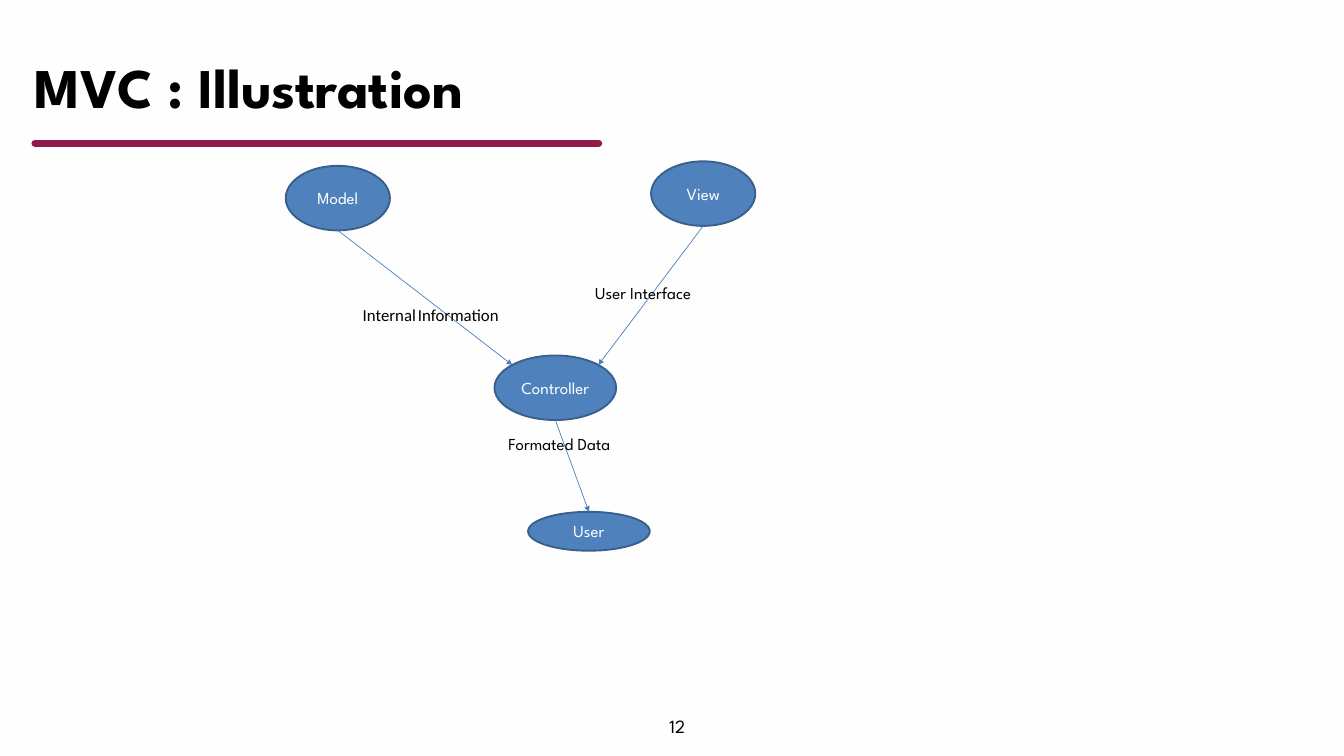
from lxml import etree
from pptx import Presentation
from pptx.dml.color import RGBColor
from pptx.enum import shapes, text
from pptx.oxml.ns import qn
from pptx.util import Cm, Pt

PAPER = RGBColor(0xFE, 0xFE, 0xFE)
BLACK = RGBColor(0, 0, 0)
WHITE = RGBColor(0xFF, 0xFF, 0xFF)
CRIMSON = RGBColor(0x91, 0x19, 0x4B)
NODE_FILL = RGBColor(0x4F, 0x81, 0xBD)
NODE_EDGE = RGBColor(0x3A, 0x5F, 0x8C)
ARROW = RGBColor(0x4B, 0x7E, 0xBC)
SPARTAN = "League Spartan"
DIAGONAL = 0.5 ** 0.5


def add_run(paragraph, words, size, color=BLACK, font=SPARTAN, bold=False):
    run = paragraph.add_run()
    run.text = words
    run.font.name = font
    run.font.size = Pt(size)
    run.font.bold = bold
    run.font.color.rgb = color


def clear_margins(frame):
    frame.margin_left = frame.margin_right = 0
    frame.margin_top = frame.margin_bottom = 0


def add_line(slide, start, end, color, width):
    line = slide.shapes.add_connector(shapes.MSO_CONNECTOR.STRAIGHT, *start, *end)
    line.line.color.rgb = color
    line.line.width = Pt(width)
    etree.SubElement(line._element.spPr, qn("a:effectLst"))
    return line.line._get_or_add_ln()


def add_arrow(slide, start, end):
    outline = add_line(slide, start, end, ARROW, 0.75)
    etree.SubElement(outline, qn("a:tailEnd"), type="triangle")


def add_node(slide, name, left, top, width, height):
    node = slide.shapes.add_shape(shapes.MSO_SHAPE.OVAL, left, top, width, height)
    node.shadow.inherit = False
    node.fill.solid()
    node.fill.fore_color.rgb = NODE_FILL
    node.line.color.rgb = NODE_EDGE
    node.line.width = Pt(2)
    node.text_frame.vertical_anchor = text.MSO_ANCHOR.MIDDLE
    paragraph = node.text_frame.paragraphs[0]
    paragraph.alignment = text.PP_ALIGN.CENTER
    add_run(paragraph, name, 18, WHITE)
    return node


def rim(node, x, y):
    """Point on the ellipse in direction (x, y), each from -1 to 1."""
    return (round(node.left + node.width * (1 + x) / 2),
            round(node.top + node.height * (1 + y) / 2))


def add_label(slide, runs, left, top, width):
    label = slide.shapes.add_textbox(left, top, width, Cm(1.02))
    label.text_frame.word_wrap = True
    for words, size, font in runs:
        add_run(label.text_frame.paragraphs[0], words, size, font=font)


def add_header(slide, left, top, width, height):
    title = slide.shapes.title
    title.left, title.top, title.width, title.height = left, top, width, height
    frame = title.text_frame
    clear_margins(frame)
    frame.auto_size = text.MSO_AUTO_SIZE.NONE
    frame.vertical_anchor = text.MSO_ANCHOR.TOP
    paragraph = frame.paragraphs[0]
    paragraph.alignment = text.PP_ALIGN.LEFT
    paragraph.line_spacing = Pt(84)
    add_run(paragraph, "MVC : Illustration", 60, bold=True)

    rule_y = top + Cm(3.84)
    rule = add_line(slide, (left, rule_y), (left + Cm(21.31), rule_y), CRIMSON, 7.5)
    rule.set("cap", "rnd")


def add_diagram(slide, left, top):
    node_places = {
        "Controller": (7.89, 7.34, 4.6, 2.44),
        "Model": (0, 0.17, 3.94, 2.44),
        "View": (13.81, 0, 3.94, 2.44),
        "User": (9.16, 13.25, 4.6, 1.47),
    }
    nodes = {
        name: add_node(slide, name, left + Cm(x), top + Cm(y), Cm(w), Cm(h))
        for name, (x, y, w, h) in node_places.items()
    }
    flows = [
        ("Model", "Controller", (-DIAGONAL, -DIAGONAL)),
        ("View", "Controller", (DIAGONAL, -DIAGONAL)),
        ("Controller", "User", (0, -1)),
    ]
    for source, target, entry in flows:
        add_arrow(slide, rim(nodes[source], 0, 1), rim(nodes[target], *entry))

    internal = [("Internal", 18, "Calibri"), (" ", 9, "Calibri"),
                ("Information", 18, "Calibri")]
    labels = [
        (internal, 2.66, 5.3, 6.05),
        ([("User Interface", 18, SPARTAN)], 11.45, 4.47, 5.18),
        ([("Formated Data", 18, SPARTAN)], 8.17, 10.18, 5.64),
    ]
    for runs, x, y, width in labels:
        add_label(slide, runs, left + Cm(x), top + Cm(y), Cm(width))


def add_page_number(slide, left, top, width, height):
    frame = slide.shapes.add_textbox(left, top, width, height).text_frame
    clear_margins(frame)
    frame.word_wrap = True
    paragraph = frame.paragraphs[0]
    paragraph.alignment = text.PP_ALIGN.CENTER
    paragraph.line_spacing = Pt(42)
    add_run(paragraph, "12", 20)


def main():
    deck = Presentation()
    deck.slide_width, deck.slide_height = Cm(50.8), Cm(28.58)
    slide = deck.slides.add_slide(deck.slide_layouts.get_by_name("Title Only"))
    slide.background.fill.solid()
    slide.background.fill.fore_color.rgb = PAPER
    add_header(slide, Cm(1.32), Cm(1.57), Cm(42.09), Cm(2.9))
    add_diagram(slide, Cm(10.8), Cm(6.1))
    add_page_number(slide, Cm(25.17), Cm(26.39), Cm(0.86), Cm(1.35))
    deck.save("out.pptx")


if __name__ == "__main__":
    main()
